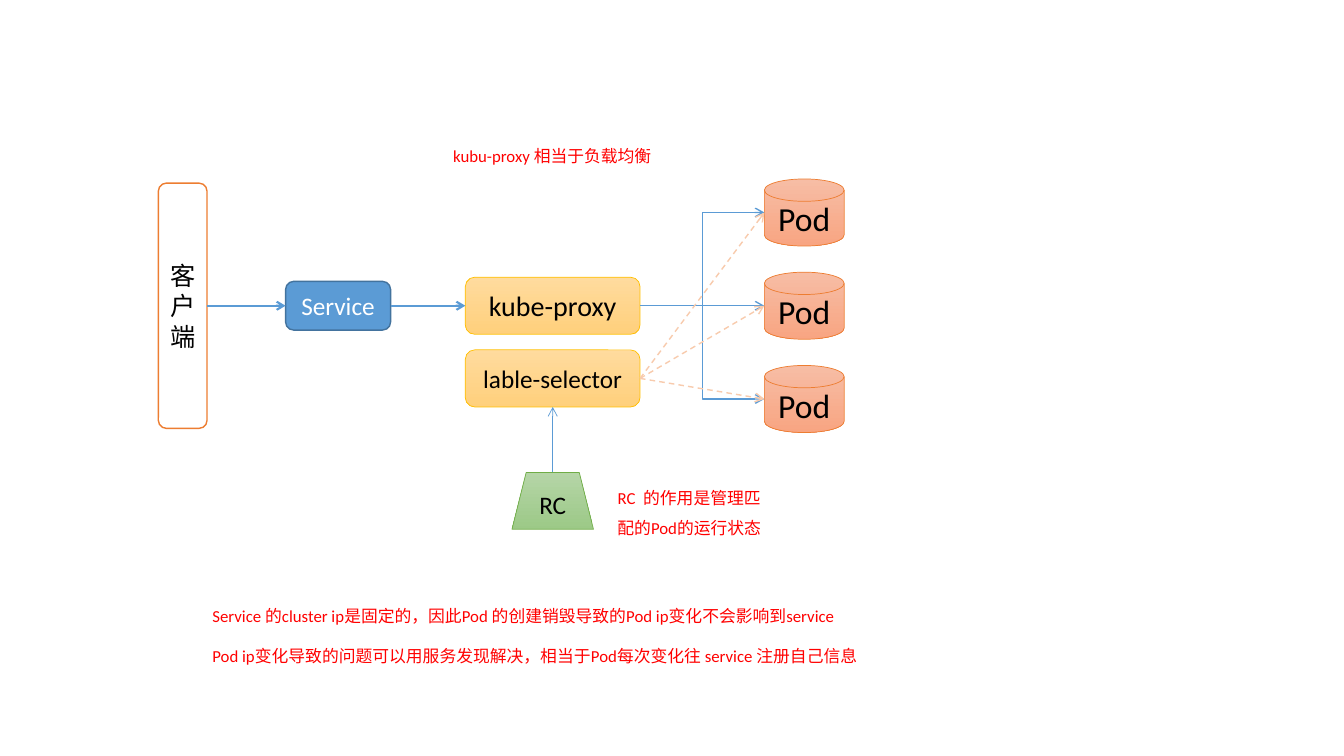
import pptx
import pptx.util
import pptx.dml.color
import pptx.enum.dml
import pptx.enum.shapes
import pptx.enum.text
import lxml.etree

Pt = pptx.util.Pt
KIND = pptx.enum.shapes.MSO_SHAPE
LINK = pptx.enum.shapes.MSO_CONNECTOR
ALIGN = pptx.enum.text.PP_ALIGN
NS = "{http://schemas.openxmlformats.org/drawingml/2006/main}"
COLORS = {
    "black": "000000", "white": "FFFFFF", "red": "FF0000",
    "blue": "5B9BD5", "navy": "43739E", "orange": "ED7D31", "peach": "F8CBAD",
    "pod top": "F7BDA5", "pod end": "F8A582",
    "gold": "FFC000", "gold top": "FFDB9E", "gold end": "FFD07C",
    "green": "70AD47", "green top": "B5D5A7", "green end": "9CC987",
}

deck = pptx.Presentation()
deck.slide_width = pptx.util.Inches(13.33)
deck.slide_height = pptx.util.Inches(7.5)
slide = deck.slides.add_slide(deck.slide_layouts[6])

# Grid of 160 columns by 90 rows
COL, ROW = deck.slide_width / 160, deck.slide_height / 90


def grid(x, y):
    return round(x * COL), round(y * ROW)


def tint(name):
    return pptx.dml.color.RGBColor.from_string(COLORS[name])


def write(frame, *lines, size=12, color="black", align=ALIGN.CENTER,
          space=None, gap=0):
    frame.word_wrap = True
    for i, line in enumerate(lines):
        para = frame.add_paragraph() if i else frame.paragraphs[0]
        para.alignment = align
        if space:
            para.line_spacing = space
        if i:
            para.space_before = Pt(gap)
        run = para.add_run()
        run.text = line
        run.font.name = "Calibri"
        run.font.size = Pt(size)
        run.font.color.rgb = tint(color)


def node(kind, box, text, size, fills, edge, width=0.5, color="black"):
    x, y, w, h = box
    shape = slide.shapes.add_shape(kind, *grid(x, y), *grid(w, h))
    shape.shadow.inherit = False
    if len(fills) == 1:
        shape.fill.solid()
        shape.fill.fore_color.rgb = tint(fills[0])
    else:
        shape.fill.gradient()
        shape.fill.gradient_angle = 270
        for stop, name in zip(shape.fill.gradient_stops, fills):
            stop.color.rgb = tint(name)
    shape.line.color.rgb = tint(edge)
    shape.line.width = Pt(width)
    shape.text_frame.vertical_anchor = pptx.enum.text.MSO_ANCHOR.MIDDLE
    write(shape.text_frame, text, size=size, color=color)


def note(box, *lines, **form):
    x, y, w, h = box
    area = slide.shapes.add_textbox(*grid(x, y), *grid(w, h))
    write(area.text_frame, *lines, color="red", **form)


def arrow(start, end, width=1, color="blue", kind=LINK.STRAIGHT, dash=False):
    link = slide.shapes.add_connector(kind, *grid(*start), *grid(*end))
    link.line.color.rgb = tint(color)
    link.line.width = Pt(width)
    if dash:
        link.line.dash_style = pptx.enum.dml.MSO_LINE.DASH
    props = link._element.spPr
    lxml.etree.SubElement(props.find(NS + "ln"), NS + "tailEnd", type="arrow")
    lxml.etree.SubElement(props, NS + "effectLst")


def left(box):
    return box[0], box[1] + box[3] / 2


def right(box):
    return box[0] + box[2], box[1] + box[3] / 2


# Client and service, with the service centred on the client's middle
def entry(box):
    x, y, w, h = box
    client = (x, y, 5.8, h)
    serve = (x + w - 12.5, y + h / 2 - 2.9, 12.5, 5.8)
    node(KIND.ROUNDED_RECTANGLE, serve, "Service", 18, ["blue"], "navy", 1, "white")
    node(KIND.ROUNDED_RECTANGLE, client, "客户端", 18, ["white"], "orange", 1)
    arrow(right(client), left(serve), 1.5)
    return right(serve)


# Proxy above selector, with the controller below
def proxy(box):
    x, y, w, h = box
    rows = [(x, y + i * 8.65, w, 6.8) for i in range(2)]
    for row, text, size in zip(rows, ("kube-proxy", "lable-selector"), (20, 18)):
        node(KIND.ROUNDED_RECTANGLE, row, text, size, ["gold top", "gold end"], "gold")
    mid, top = x + w / 2, y + h - 6.75
    node(KIND.TRAPEZOID, (mid - 4.85, top, 9.7, 6.75), "RC", 18,
         ["green top", "green end"], "green")
    arrow((mid, top), (mid, rows[1][1] + 6.8), 0.5)
    note((x - 3.1, y - 16.2, 26.9, 3.6), "kubu-proxy 相当于负载均衡")
    note((x + 16.7, top, 19.9, 8.5), "RC  的作用是管理匹配的Pod的运行状态", space=1.5)
    return left(rows[0]), right(rows[0]), right(rows[1])


# Three pods spread evenly down the box
def pods(box):
    x, y, w, h = box
    tall = 8
    step = (h - tall) / 2
    disks = [(x, y + i * step, w, tall) for i in range(3)]
    for disk in disks:
        node(KIND.FLOWCHART_MAGNETIC_DISK, disk, "Pod", 24,
             ["pod top", "pod end"], "orange")
    return [left(disk) for disk in disks]


leave = entry((18.85, 21.8, 27.65, 29.2))
inlet, route, match = proxy((55.4, 33, 20.8, 30))
ports = pods((91, 21.3, 9.5, 30.2))

# Links between the regions
arrow(leave, inlet, 1.5)
for port in ports:
    level = abs(port[1] - route[1]) < 0.1
    arrow(route, port, kind=LINK.STRAIGHT if level else LINK.ELBOW)
for port in ports:
    arrow(match, port, color="peach", dash=True)

# Closing remarks
note((24.1, 71.5, 83.4, 8.5),
     "Service 的cluster ip是固定的，因此Pod 的创建销毁导致的Pod ip变化不会影响到service",
     "Pod ip变化导致的问题可以用服务发现解决，相当于Pod每次变化往 service 注册自己信息",
     align=ALIGN.LEFT, gap=14.4)

deck.save("out.pptx")
